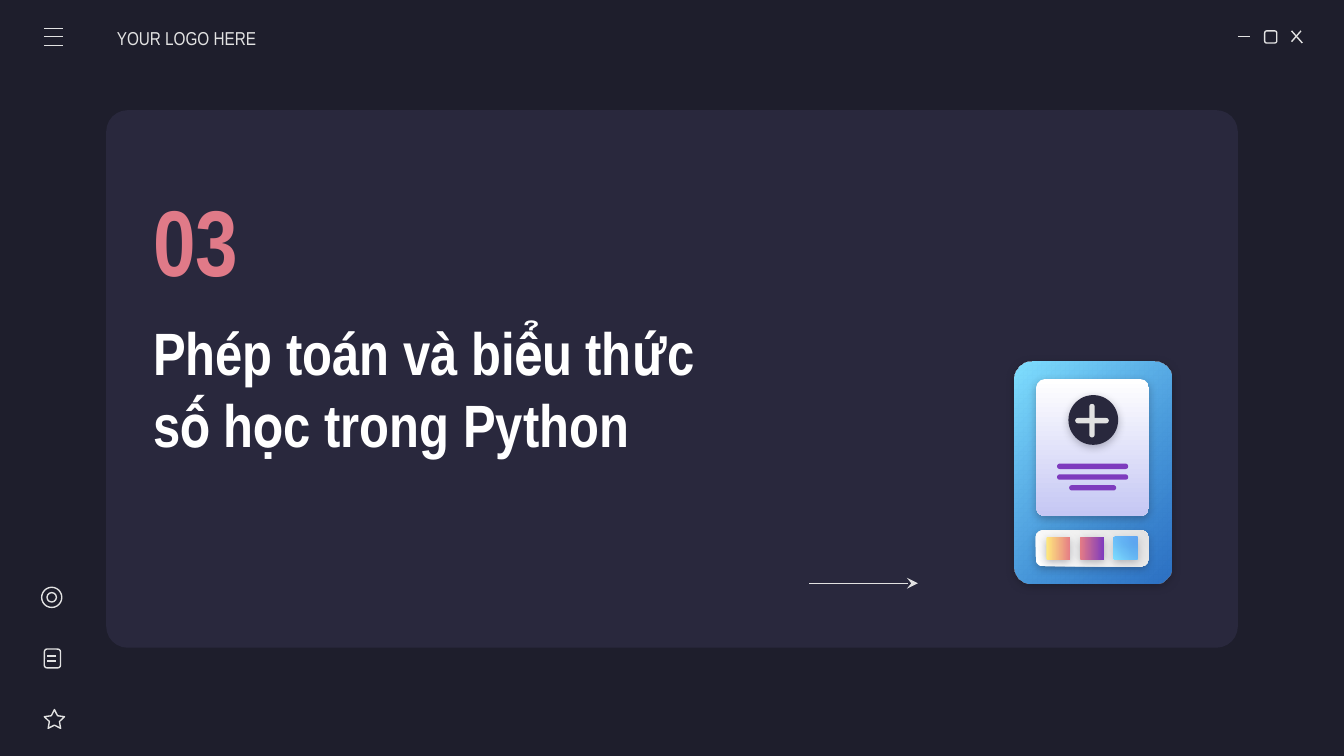
from dataclasses import dataclass
from typing import Optional

from lxml import etree
from pptx import Presentation
from pptx.dml.color import RGBColor
from pptx.enum.shapes import MSO_CONNECTOR, MSO_SHAPE
from pptx.enum.text import MSO_ANCHOR, MSO_AUTO_SIZE, PP_ALIGN
from pptx.oxml.ns import qn
from pptx.util import Inches, Pt

ROUNDED = MSO_SHAPE.ROUNDED_RECTANGLE
OVAL = MSO_SHAPE.OVAL
STAR = MSO_SHAPE.STAR_5_POINT
STRAIGHT = MSO_CONNECTOR.STRAIGHT
MIDDLE = MSO_ANCHOR.MIDDLE
TOP = MSO_ANCHOR.TOP
LEFT = PP_ALIGN.LEFT
NO_FIT = MSO_AUTO_SIZE.NONE

FONT = "Arial Narrow"
SLIDE_WIDTH = Inches(10)
SLIDE_HEIGHT = SLIDE_WIDTH * 9 // 16
COLORS = {
    "background": "1E1E2C",
    "panel": "29283D",
    "light": "E2E2E2",
    "white": "FFFFFF",
    "pink": "E07A88",
    "coral": "E57C85",
    "purple": "7E3BBE",
    "lavender": "C5C7F4",
    "yellow": "FFEA7D",
    "sky": "80DFFF",
    "blue": "318FFA",
}


@dataclass(frozen=True)
class Gradient:
    start: str
    end: str
    angle: int
    end_opacity: int = 100


@dataclass(frozen=True)
class Block:
    box: tuple[float, float, float, float]
    kind: MSO_SHAPE = ROUNDED
    radius: Optional[float] = None
    fill: Optional[str | Gradient] = None
    shadow: Optional[int] = None
    rotation: int = 0


@dataclass(frozen=True)
class Label:
    text: str
    box: tuple[float, float, float, float]
    size: int
    color: str
    bold: bool
    frame: dict
    line_spacing: float = 1.0


SKY = Gradient("sky", "blue", 45, 72)
PANEL = Block((0.79, 0.82, 8.42, 4.0), radius=0.04, fill="panel")

OUTLINES = [
    Block((9.41, 0.23, 0.09, 0.09)),
    Block((0.33, 5.28, 0.15, 0.14), STAR, 0.25),
    Block((0.33, 4.83, 0.12, 0.14)),
    Block((0.31, 4.37, 0.15, 0.15), OVAL),
    Block((0.35, 4.41, 0.07, 0.07), OVAL),
]

WINDOW_LINES = [
    (9.21, 0.27, 9.3, 0.27),
    (9.61, 0.23, 9.69, 0.32),
    (9.68, 0.23, 9.61, 0.31),
]
MENU_LINES = [(0.33, y, 0.47, y) for y in (0.21, 0.27, 0.34)]
NOTE_LINES = [(0.35, y, 0.42, y) for y in (4.88, 4.92)]

TEXT_BARS = [
    Block((8.13 - width / 2, 3.45 + 0.08 * row, width, 0.04), radius=0.5, fill="purple")
    for row, width in enumerate((0.53, 0.53, 0.35))
]
PLUS_BARS = [
    Block((8.0, 3.11, 0.25, 0.04), radius=0.5, fill="light", rotation=rotation)
    for rotation in (0, 90)
]
SWATCHES = [
    Block((7.79 + 0.25 * column, 3.99, 0.17, 0.18), radius=0.07, fill=fill,
          shadow=30, rotation=270)
    for column, fill in enumerate(
        (Gradient("yellow", "coral", 90), Gradient("coral", "purple", 90), SKY))
]
DEVICE = [
    Block((7.55, 2.69, 1.17, 1.65), radius=0.11, fill=SKY, shadow=100),
    Block((7.71, 2.82, 0.84, 1.02), radius=0.08,
          fill=Gradient("white", "lavender", 90), shadow=30),
    *TEXT_BARS,
    Block((7.95, 2.94, 0.37, 0.37), OVAL, fill="panel", shadow=30),
    *PLUS_BARS,
    Block((7.99, 3.66, 0.27, 0.84), radius=0.2,
          fill=Gradient("white", "light", 45), shadow=30, rotation=270),
    *SWATCHES,
]

PLACEHOLDER_FRAME = {
    "margin_top": Inches(0.1),
    "margin_bottom": Inches(0.1),
    "margin_right": Inches(0.1),
    "vertical_anchor": MIDDLE,
}
LOGO = Label("YOUR LOGO HERE", (0.87, 0.12, 1.17, 0.3), 10, "light", False,
             {**PLACEHOLDER_FRAME, "margin_left": 0}, 1.15)
NUMBER = Label("03", (1.04, 1.33, 1.2, 0.9), 50, "pink", True,
               {**PLACEHOLDER_FRAME, "margin_left": Inches(0.1)})
HEADING = Label("Phép toán và biểu thức số học trong Python",
                (1.04, 2.3, 4.55, 1.18), 32, "white", True, {"vertical_anchor": TOP})


def rgb(name: str) -> RGBColor:
    return RGBColor.from_string(COLORS[name])


def set_values(target, values: dict) -> None:
    for name, value in values.items():
        setattr(target, name, value)


def add_alpha(color, percent: int) -> None:
    etree.SubElement(color, qn("a:alpha"), val=str(percent * 1000))


def paint_gradient(shape, gradient: Gradient) -> None:
    shape.fill.gradient()
    shape.fill.gradient_angle = (360 - gradient.angle) % 360
    stops = shape.fill.gradient_stops
    for stop, position, color in zip(stops, (0, 1), (gradient.start, gradient.end)):
        stop.position = position
        stop.color.rgb = rgb(color)
    if gradient.end_opacity < 100:
        add_alpha(shape.element.spPr.findall(".//" + qn("a:srgbClr"))[-1],
                  gradient.end_opacity)


def add_shadow(shape, opacity: int) -> None:
    effects = shape.element.spPr.find(qn("a:effectLst"))
    shadow = etree.SubElement(effects, qn("a:outerShdw"), blurRad=str(Pt(4.5)),
                              dist=str(Pt(1.5)), dir="5400000", algn="bl",
                              rotWithShape="0")
    color = etree.SubElement(shadow, qn("a:srgbClr"), val=COLORS["background"])
    add_alpha(color, opacity)


def add_block(slide, block: Block) -> None:
    shape = slide.shapes.add_shape(block.kind, *map(Inches, block.box))
    shape.shadow.inherit = False
    shape.rotation = block.rotation
    if block.radius is not None:
        shape.adjustments[0] = block.radius
    if block.fill is None:
        shape.fill.background()
        shape.line.width = Pt(0.75)
        shape.line.color.rgb = rgb("light")
    else:
        shape.line.fill.background()
        if isinstance(block.fill, Gradient):
            paint_gradient(shape, block.fill)
        else:
            shape.fill.solid()
            shape.fill.fore_color.rgb = rgb(block.fill)
    if block.shadow is not None:
        add_shadow(shape, block.shadow)


def add_line(slide, ends: tuple[float, float, float, float], arrow: bool = False) -> None:
    connector = slide.shapes.add_connector(STRAIGHT, *map(Inches, ends))
    connector.line.width = Pt(0.75)
    connector.line.color.rgb = rgb("light")
    properties = connector.element.spPr
    if arrow:
        etree.SubElement(properties.find(qn("a:ln")), qn("a:tailEnd"), type="stealth")
    etree.SubElement(properties, qn("a:effectLst"))


def write_label(shape, label: Label) -> None:
    shape.element.getparent().append(shape.element)
    set_values(shape, dict(zip(("left", "top", "width", "height"),
                               map(Inches, label.box))))
    frame = shape.text_frame
    frame.text = label.text
    set_values(frame, {"word_wrap": True, "auto_size": NO_FIT, **label.frame})
    paragraph = frame.paragraphs[0]
    set_values(paragraph, {"alignment": LEFT, "space_before": Pt(0),
                           "line_spacing": label.line_spacing})
    font = paragraph.runs[0].font
    set_values(font, {"name": FONT, "size": Pt(label.size), "bold": label.bold})
    font.color.rgb = rgb(label.color)


def main() -> None:
    presentation = Presentation()
    set_values(presentation, {"slide_width": SLIDE_WIDTH, "slide_height": SLIDE_HEIGHT})
    slide = presentation.slides.add_slide(presentation.slide_layouts[0])
    slide.background.fill.solid()
    slide.background.fill.fore_color.rgb = rgb("background")
    for block in [PANEL, *OUTLINES, *DEVICE]:
        add_block(slide, block)
    for ends in WINDOW_LINES + MENU_LINES + NOTE_LINES:
        add_line(slide, ends)
    add_line(slide, (6.02, 4.34, 6.83, 4.34), arrow=True)
    write_label(slide.placeholders[1], LOGO)
    write_label(slide.shapes.title, NUMBER)
    write_label(slide.shapes.add_textbox(*map(Inches, HEADING.box)), HEADING)
    presentation.save("out.pptx")


if __name__ == "__main__":
    main()
